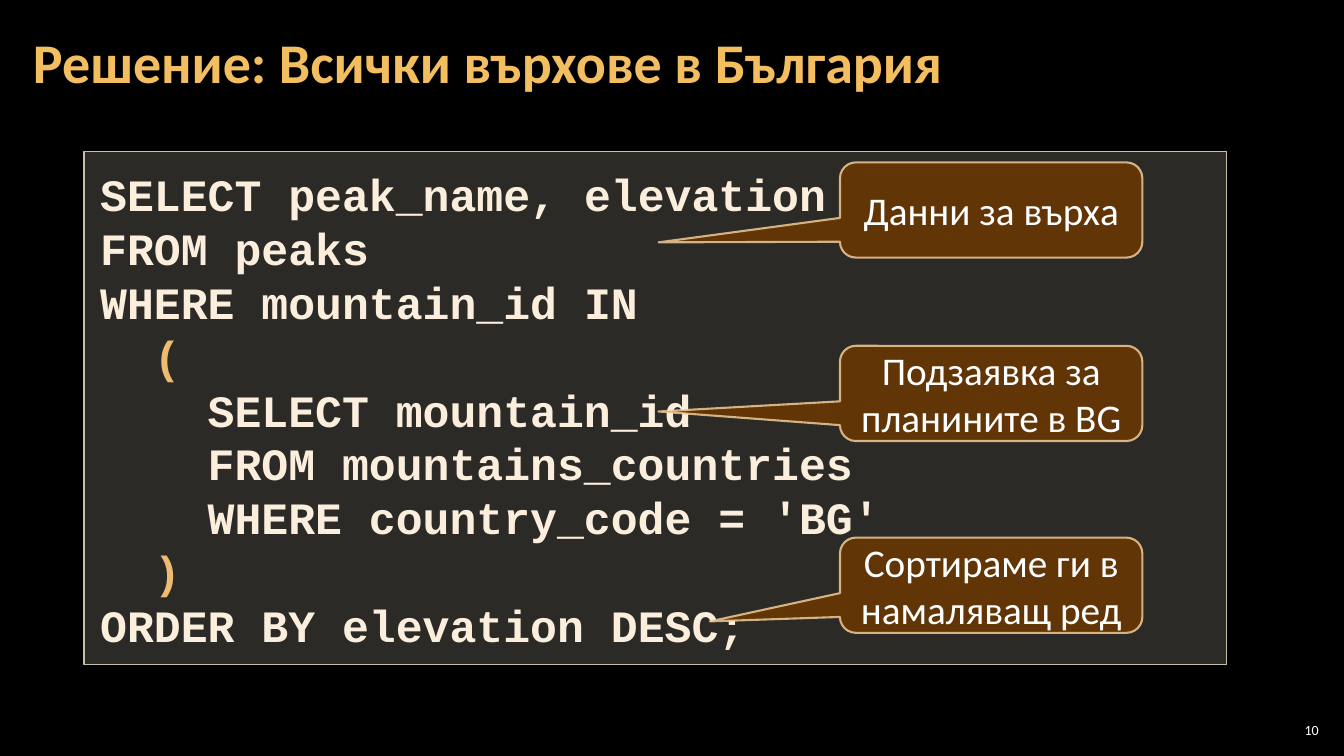
from lxml.etree import SubElement
from pptx import Presentation
from pptx.dml.color import RGBColor
from pptx.enum.shapes import MSO_SHAPE
from pptx.enum.text import MSO_ANCHOR, PP_ALIGN
from pptx.oxml.ns import qn
from pptx.util import Pt

BLACK = RGBColor(0x00, 0x00, 0x00)
WHITE = RGBColor(0xFF, 0xFF, 0xFF)
GOLD = RGBColor(0xF3, 0xBE, 0x60)
CREAM = RGBColor(0xFB, 0xEE, 0xDC)
AMBER = RGBColor(0xEF, 0xBB, 0x72)
SAND = RGBColor(0xD9, 0xD5, 0xC7)
SAND_EDGE = RGBColor(0xC7, 0xBF, 0xAC)
BROWN = RGBColor(0x66, 0x36, 0x06)
BROWN_EDGE = RGBColor(0xF8, 0xD4, 0x9E)

CODE_SIZE = 32
CODE_CHAR_WIDTH = 0.6 * CODE_SIZE
CODE_PITCH = 38.5

# (indent in characters, text, colour)
QUERY = [
    (0, "SELECT peak_name, elevation", CREAM),
    (0, "FROM peaks", CREAM),
    (0, "WHERE mountain_id IN", CREAM),
    (2, "(", AMBER),
    (4, "SELECT mountain_id", CREAM),
    (4, "FROM mountains_countries", CREAM),
    (4, "WHERE country_code = 'BG'", CREAM),
    (2, ")", AMBER),
    (0, "ORDER BY elevation DESC;", CREAM),
]

# (top, pointer offset as shares of width and height, text)
EXPLANATIONS = [
    (247, (-1.1, 0.19), "Подзаявка за планините в BG"),
    (116, (-1.1, 0.34), "Данни за върха"),
    (384, (-0.93, 0.38), "Сортираме ги в намаляващ ред"),
]


def set_opacity(fill, percent):
    """Add an alpha value to a solid fill's colour element."""
    color = fill._xPr.find(qn("a:solidFill"))[0]
    SubElement(color, qn("a:alpha")).set("val", str(percent * 1000))


class QuerySlide:
    def __init__(self, presentation):
        self.font = "Calibri"
        self.code_font = "Courier New"
        self.slide = presentation.slides.add_slide(presentation.slide_layouts[6])
        background = self.slide.background.fill
        background.solid()
        background.fore_color.rgb = BLACK

    def paint(self, shape, fill, opacity, edge, edge_width, edge_opacity=100):
        shape.shadow.inherit = False
        shape.fill.solid()
        shape.fill.fore_color.rgb = fill
        set_opacity(shape.fill, opacity)
        shape.line.color.rgb = edge
        shape.line.width = Pt(edge_width)
        set_opacity(shape.line.fill, edge_opacity)

    def set_insets(self, frame, left, top, right, bottom):
        frame.word_wrap = True
        frame.margin_left, frame.margin_top = Pt(left), Pt(top)
        frame.margin_right, frame.margin_bottom = Pt(right), Pt(bottom)

    def style(self, paragraph, font_name, size, color, bold=False, align=PP_ALIGN.LEFT):
        paragraph.alignment = align
        for run in paragraph.runs:
            run.font.name = font_name
            run.font.size = Pt(size)
            run.font.bold = bold
            run.font.color.rgb = color

    def label(self, left, top, width, height, text, size, color,
              side_inset, bold=False, align=PP_ALIGN.LEFT):
        box = self.slide.shapes.add_textbox(Pt(left), Pt(top), Pt(width), Pt(height))
        frame = box.text_frame
        self.set_insets(frame, side_inset, 3, side_inset, 3)
        frame.vertical_anchor = MSO_ANCHOR.MIDDLE
        frame.text = text
        self.style(frame.paragraphs[0], self.font, size, color, bold, align)
        return frame.paragraphs[0]

    def code_panel(self, left, top, width, height, lines):
        panel = self.slide.shapes.add_shape(
            MSO_SHAPE.RECTANGLE, Pt(left), Pt(top), Pt(width), Pt(height))
        self.paint(panel, SAND, 20, SAND_EDGE, 1)
        frame = panel.text_frame
        self.set_insets(frame, 11.5, 11, 11.5, 8.5)
        frame.vertical_anchor = MSO_ANCHOR.TOP
        frame.text = "\n".join(text for _, text, _ in lines)
        for paragraph, (indent, _, color) in zip(frame.paragraphs, lines):
            self.style(paragraph, self.code_font, CODE_SIZE, color, bold=True)
            paragraph.line_spacing = Pt(CODE_PITCH)
            margin = Pt(indent * CODE_CHAR_WIDTH)
            paragraph._p.get_or_add_pPr().set("marL", str(int(margin)))

    def callout(self, left, top, width, height, pointer, text):
        bubble = self.slide.shapes.add_shape(
            MSO_SHAPE.ROUNDED_RECTANGULAR_CALLOUT,
            Pt(left), Pt(top), Pt(width), Pt(height))
        bubble.adjustments[0], bubble.adjustments[1] = pointer
        self.paint(bubble, BROWN, 95, BROWN_EDGE, 1.5, 80)
        frame = bubble.text_frame
        frame.word_wrap = True
        frame.vertical_anchor = MSO_ANCHOR.MIDDLE
        frame.text = text
        self.style(frame.paragraphs[0], self.font, 28, WHITE, align=PP_ALIGN.CENTER)


def main():
    presentation = Presentation()
    presentation.slide_width, presentation.slide_height = Pt(960), Pt(540)
    slide = QuerySlide(presentation)
    slide.code_panel(60, 108, 816, 366.5, QUERY)
    slide.label(911, 514, 34, 15, "10", 10, WHITE, 3, align=PP_ALIGN.RIGHT)
    title = slide.label(15, 3, 754, 87, "Решение: Всички върхове в България",
                        40, GOLD, 8.5, bold=True)
    title.line_spacing = 0.9
    for top, pointer, text in EXPLANATIONS:
        slide.callout(600, top, 216, 68, pointer, text)
    presentation.save("out.pptx")


if __name__ == "__main__":
    main()
